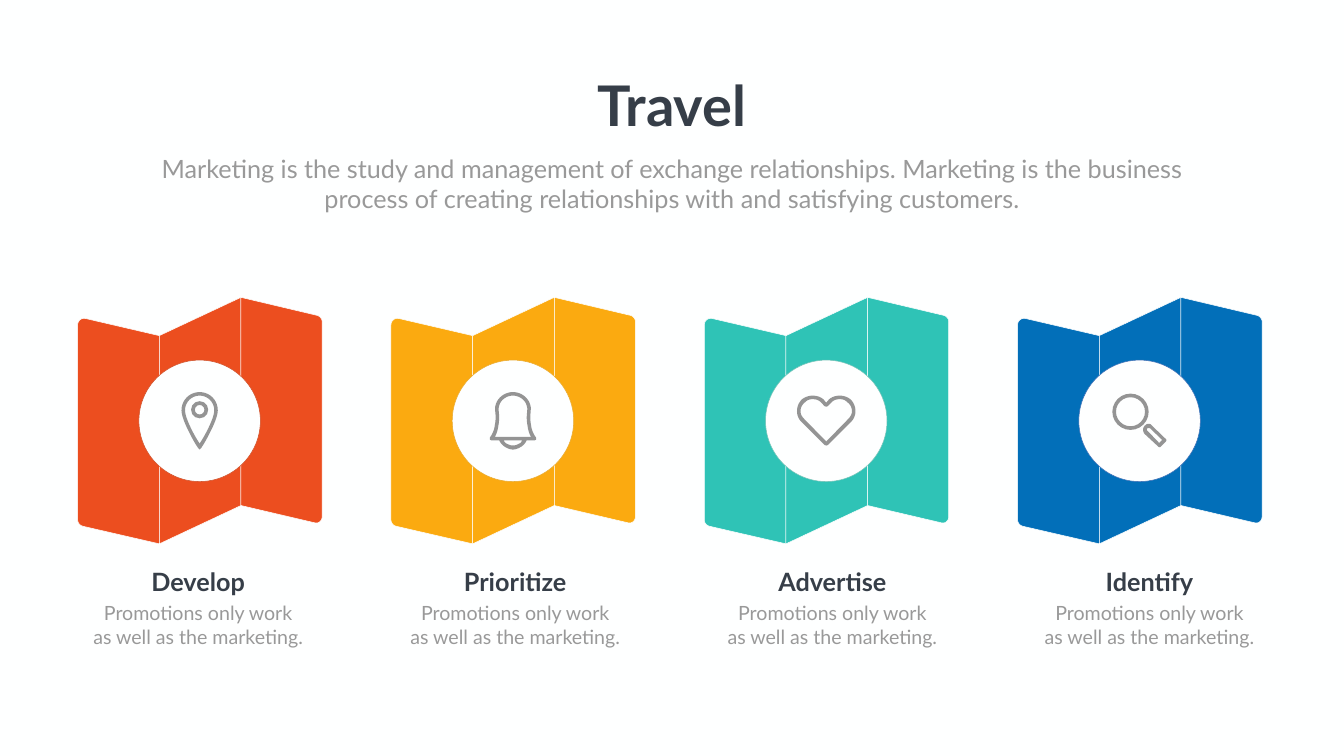
from pptx import Presentation
from pptx.dml.color import RGBColor
from pptx.enum.shapes import MSO_SHAPE
from pptx.enum.text import MSO_AUTO_SIZE, PP_ALIGN
from pptx.oxml.ns import qn
from pptx.util import Inches, Pt
from lxml.etree import SubElement

# The grid has one-inch cells
COLS, ROWS = 26.66, 15
CELL = Inches(1)
COLORS = {"page": "FEFFFF", "dark": "363E48", "text": "999999", "icon": "737373"}

# Label, map fill, badge edge
STEPS = [
    ("Develop", "EC4E1F", "CE4F28"),
    ("Prioritize", "FBAA10", "E8A92D"),
    ("Advertise", "2FC3B6", "74C2B6"),
    ("Identify", "026FB9", "3F6FB6"),
]

# Outlines: two numbers are a corner, six are a Bezier curve
# Map panels, from the top left of the map
PANELS = [
    [(1.62, 4.89), (0.1, 4.54), (0.03, 4.52, 0, 4.46, 0, 4.41), (0, 0.55),
     (0, 0.46, 0.08, 0.4, 0.16, 0.42), (1.62, 0.76)],
    [(3.24, 4.13), (1.62, 4.89), (1.62, 0.76), (3.24, 0)],
    [(4.69, 4.47), (3.24, 4.13), (3.24, 0), (4.76, 0.36),
     (4.81, 0.38, 4.85, 0.43, 4.85, 0.48), (4.85, 4.35),
     (4.85, 4.43, 4.78, 4.5, 4.69, 4.47)],
]

# Right halves of the even icons, from the badge centre
PIN = [
    [(0, -0.57), (0.2, -0.57, 0.36, -0.41, 0.36, -0.21),
     (0.36, -0.12, 0.31, 0.03, 0.2, 0.24), (0.12, 0.41, 0.03, 0.54, 0.03, 0.54),
     (0, 0.57)],
    [(0, -0.5), (0.16, -0.5, 0.29, -0.37, 0.29, -0.21),
     (0.29, -0.16, 0.27, -0.04, 0.14, 0.21), (0.09, 0.31, 0.04, 0.39, 0, 0.45)],
]
BELL = [
    [(0, -0.57), (0.17, -0.57, 0.32, -0.45, 0.35, -0.29),
     (0.36, -0.25, 0.35, -0.2, 0.35, -0.16), (0.34, -0.1, 0.34, -0.01, 0.36, 0.09),
     (0.37, 0.18, 0.41, 0.27, 0.45, 0.32), (0.46, 0.33, 0.46, 0.35, 0.46, 0.37),
     (0.45, 0.38, 0.43, 0.39, 0.41, 0.39), (0.27, 0.39),
     (0.25, 0.44, 0.21, 0.48, 0.17, 0.51), (0.12, 0.54, 0.06, 0.57, 0, 0.57)],
    [(0, -0.5), (0.13, -0.5, 0.26, -0.41, 0.28, -0.27),
     (0.29, -0.24, 0.28, -0.19, 0.28, -0.16), (0.27, -0.1, 0.27, 0, 0.29, 0.1),
     (0.3, 0.19, 0.33, 0.27, 0.36, 0.32), (0, 0.32)],
    [(0, 0.39), (0.18, 0.39), (0.17, 0.42, 0.15, 0.44, 0.13, 0.45),
     (0.09, 0.47, 0.05, 0.49, 0, 0.49)],
]
HEART = [
    [(0, -0.36), (0.05, -0.42), (0.1, -0.47, 0.18, -0.5, 0.27, -0.5),
     (0.35, -0.5, 0.43, -0.47, 0.49, -0.42), (0.55, -0.35, 0.58, -0.28, 0.58, -0.19),
     (0.58, -0.12, 0.55, -0.03, 0.49, 0.02), (0.03, 0.48), (0, 0.49)],
    [(0, -0.28), (0.03, -0.29), (0.1, -0.36), (0.14, -0.41, 0.2, -0.43, 0.27, -0.43),
     (0.34, -0.43, 0.38, -0.41, 0.43, -0.36), (0.48, -0.32, 0.51, -0.26, 0.51, -0.19),
     (0.51, -0.13, 0.48, -0.08, 0.43, -0.03), (0, 0.41)],
]

# Handle of the magnifier, drawn whole
HANDLE = [
    [(0.37, 0.51), (0.1, 0.26), (0.06, 0.21, 0.06, 0.14, 0.1, 0.1),
     (0.13, 0.07, 0.15, 0.06, 0.18, 0.06), (0.21, 0.06, 0.23, 0.07, 0.25, 0.1),
     (0.52, 0.36), (0.53, 0.37, 0.54, 0.39, 0.52, 0.41), (0.41, 0.52),
     (0.4, 0.53, 0.38, 0.52, 0.37, 0.51)],
    [(0.18, 0.14), (0.15, 0.15), (0.14, 0.16, 0.14, 0.19, 0.16, 0.2), (0.39, 0.44),
     (0.45, 0.38), (0.21, 0.15)],
]

# Icon outline, mirrored or not, and its ring: x, y, size, band share
ICONS = [
    (PIN, True, (0, -0.22, 0.34, 0.22)),
    (BELL, True, None),
    (HEART, True, None),
    (HANDLE, False, (-0.18, -0.18, 0.72, 0.1)),
]


def trace(parts, steps=10):
    """Turn corners and curves into a list of points."""
    dots = []
    for part in parts:
        if len(part) == 2:
            dots.append(part)
            continue
        knots = [dots[-1], part[:2], part[2:4], part[4:]]
        for n in range(1, steps + 1):
            t = n / steps
            u = 1 - t
            mix = (u ** 3, 3 * u * u * t, 3 * u * t * t, t ** 3)
            dots.append(tuple(sum(m * k[a] for m, k in zip(mix, knots)) for a in (0, 1)))
    return dots


def mirror(dots):
    return dots + [(-x, y) for x, y in reversed(dots)]


class Deck:
    font = "Lato"

    def __init__(self):
        self.prs = Presentation()
        self.prs.slide_width = int(COLS * CELL)
        self.prs.slide_height = int(ROWS * CELL)
        self.slide = self.prs.slides.add_slide(self.prs.slide_layouts[6])
        self.shapes = self.slide.shapes
        self.paint(self.slide.background.fill, COLORS["page"])

    def grid(self, *cells):
        return [round(c * CELL) for c in cells]

    def paint(self, fill, color):
        fill.solid()
        fill.fore_color.rgb = RGBColor.from_string(color)

    def dress(self, shape, fill, edge=None, alpha=None):
        shape.shadow.inherit = False
        self.paint(shape.fill, fill)
        if edge:
            self.paint(shape.line.fill, edge)
            shape.line.width = Pt(0.75)
        else:
            shape.line.fill.background()
        if alpha:
            tone = shape.fill._xPr.find(qn("a:solidFill"))[0]
            SubElement(tone, qn("a:alpha")).set("val", str(alpha * 1000))

    def outline(self, x, y, loops, *style):
        loops = [[self.grid(x + a, y + b) for a, b in dots] for dots in loops]
        pen = self.shapes.build_freeform(*loops[0][0], scale=1.0)
        for n, dots in enumerate(loops):
            if n:
                pen.move_to(*dots[0])
            pen.add_line_segments(dots[1:], close=True)
        self.dress(pen.convert_to_shape(), *style)

    def round(self, x, y, size, *style, band=None):
        kind = MSO_SHAPE.DONUT if band else MSO_SHAPE.OVAL
        box = self.grid(x - size / 2, y - size / 2, size, size)
        shape = self.shapes.add_shape(kind, *box)
        if band:
            shape.adjustments[0] = band
        self.dress(shape, *style)

    def text(self, mid, y, wide, high, lines, size, color, bold=False, wrap=True):
        box = self.shapes.add_textbox(*self.grid(mid - wide / 2, y, wide, high))
        frame = box.text_frame
        frame.word_wrap = wrap
        frame.auto_size = MSO_AUTO_SIZE.SHAPE_TO_FIT_TEXT
        frame.text = lines
        for para in frame.paragraphs:
            para.alignment = PP_ALIGN.CENTER
            para.font.name = self.font
            para.font.size = Pt(size)
            para.font.bold = bold
            para.font.color.rgb = RGBColor.from_string(COLORS[color])

    def map(self, x, y, fill, edge):
        for panel in PANELS:
            self.outline(x, y, [trace(panel)], fill, COLORS["page"])
        self.round(x + 2.42, y + 2.45, 2.41, COLORS["page"], edge)

    def icon(self, x, y, parts, even, ring):
        style = (COLORS["icon"], None, 76)
        loops = [trace(part) for part in parts]
        self.outline(x, y, [mirror(dots) for dots in loops] if even else loops, *style)
        if ring:
            dx, dy, size, band = ring
            self.round(x + dx, y + dy, size, *style, band=band)


def main():
    deck = Deck()

    # Heading
    deck.text(COLS / 2, 1.34, 3.36, 1.45, "Travel", 80, "dark", True, wrap=False)
    deck.text(COLS / 2, 2.99, 21.3, 1.31,
              "Marketing is the study and management of exchange relationships. "
              "Marketing is the business process of creating relationships with "
              "and satisfying customers.", 36, "text")

    # Folded maps with icons and captions
    for n, ((label, fill, edge), icon) in enumerate(zip(STEPS, ICONS)):
        left, top = 1.54 + 6.215 * n, 5.9
        deck.map(left, top, fill, edge)
        deck.icon(left + 2.42, top + 2.45, *icon)
        mid = 3.93 + 6.29 * n
        deck.text(mid, 11.18, 2.61, 0.71, label, 36, "dark", True)
        deck.text(mid, 11.88, 4.94, 1.04,
                  "Promotions only work\nas well as the marketing.", 28, "text")

    deck.prs.save("out.pptx")


if __name__ == "__main__":
    main()
